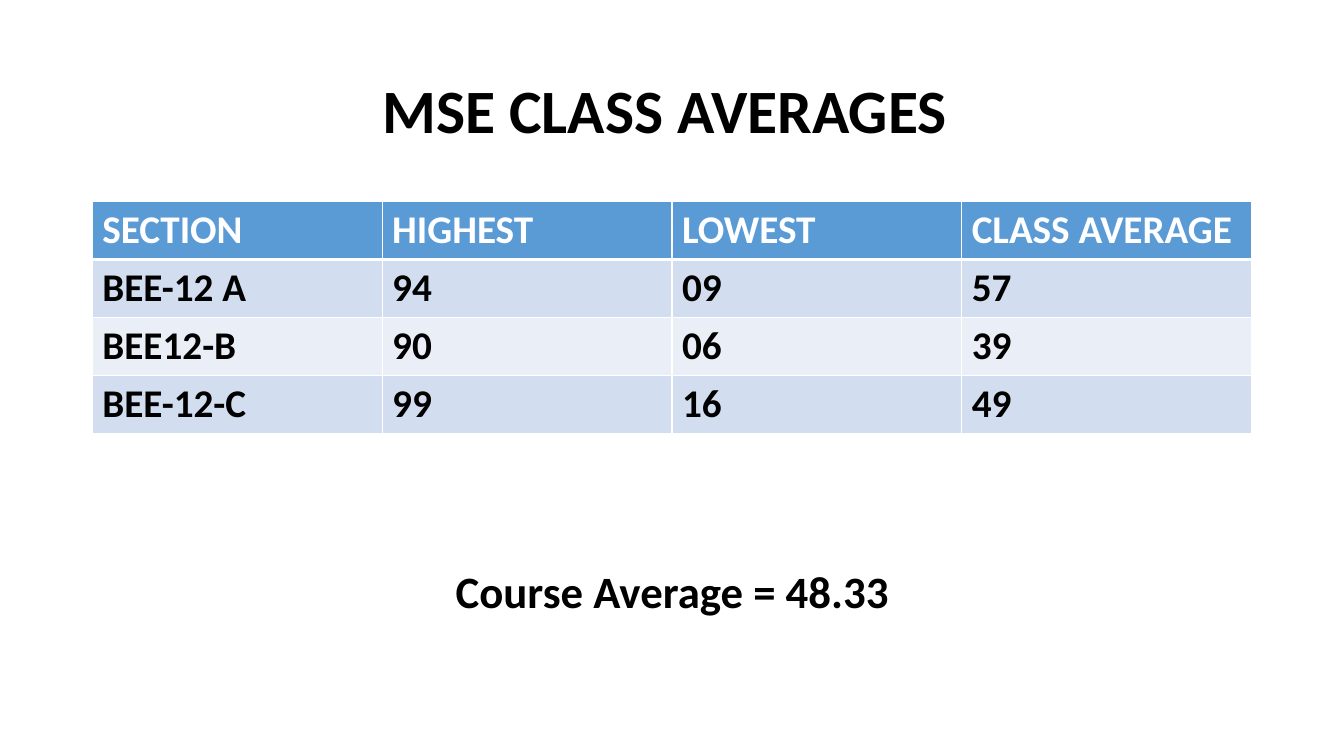
from lxml.etree import SubElement
from pptx import Presentation
from pptx.dml.color import RGBColor
from pptx.enum.text import MSO_ANCHOR, PP_ALIGN
from pptx.oxml.ns import qn
from pptx.util import Pt

BLACK = RGBColor(0x00, 0x00, 0x00)
WHITE = RGBColor(0xFF, 0xFF, 0xFF)
HEADER_BLUE = RGBColor(0x5B, 0x9B, 0xD5)
BAND_DARK = RGBColor(0xD2, 0xDE, 0xEF)
BAND_LIGHT = RGBColor(0xEA, 0xEF, 0xF7)

ROWS = [
    ("SECTION", "HIGHEST", "LOWEST", "CLASS AVERAGE"),
    ("BEE-12 A", "94", "09", "57"),
    ("BEE12-B", "90", "06", "39"),
    ("BEE-12-C", "99", "16", "49"),
]
TABLE_LEFT, TABLE_TOP = 66, 144
COLUMN_WIDTH, ROW_HEIGHT = 207, 41.4


def add_bold_run(para, text, size, color):
    span = para.add_run()
    span.text = text
    span.font.name = "Calibri"
    span.font.size = Pt(size)
    span.font.bold = True
    span.font.color.rgb = color


def add_white_border(cell, side, width):
    """Draw one side of a cell; side is L, R, T or B, in that order, before the fill."""
    line = SubElement(cell._tc.get_or_add_tcPr(), qn(f"a:ln{side}"), w=str(Pt(width)))
    fill = SubElement(line, qn("a:solidFill"))
    SubElement(fill, qn("a:srgbClr"), val=str(WHITE))


deck = Presentation()
deck.slide_width, deck.slide_height = Pt(960), Pt(540)
page = deck.slides.add_slide(deck.slide_layouts[6])

# Title and course average
for text, size, left, top, width, height, spacing in [
    ("MSE CLASS AVERAGES ", 44, 66, 28.75, 828, 104.4, 0.9),
    ("Course Average = 48.33", 32, 286.5, 399, 387.5, 46, 1.0),
]:
    box = page.shapes.add_textbox(Pt(left), Pt(top), Pt(width), Pt(height))
    frame = box.text_frame
    frame.word_wrap = True
    frame.vertical_anchor = MSO_ANCHOR.MIDDLE
    para = frame.paragraphs[0]
    para.alignment = PP_ALIGN.CENTER
    para.line_spacing = spacing
    add_bold_run(para, text, size, BLACK)

# Table of class results
table = page.shapes.add_table(
    len(ROWS), len(ROWS[0]), Pt(TABLE_LEFT), Pt(TABLE_TOP),
    Pt(COLUMN_WIDTH * len(ROWS[0])), Pt(ROW_HEIGHT * len(ROWS)),
).table
for column in table.columns:
    column.width = Pt(COLUMN_WIDTH)

for row_index, values in enumerate(ROWS):
    table.rows[row_index].height = Pt(ROW_HEIGHT)
    is_header = row_index == 0
    band = BAND_DARK if row_index % 2 else BAND_LIGHT
    for column_index, value in enumerate(values):
        cell = table.cell(row_index, column_index)
        for side in "LRTB":
            add_white_border(cell, side, 3 if is_header and side == "B" else 1)
        cell.fill.solid()
        cell.fill.fore_color.rgb = HEADER_BLUE if is_header else band
        add_bold_run(cell.text_frame.paragraphs[0], value, 28, WHITE if is_header else BLACK)

deck.save("out.pptx")
